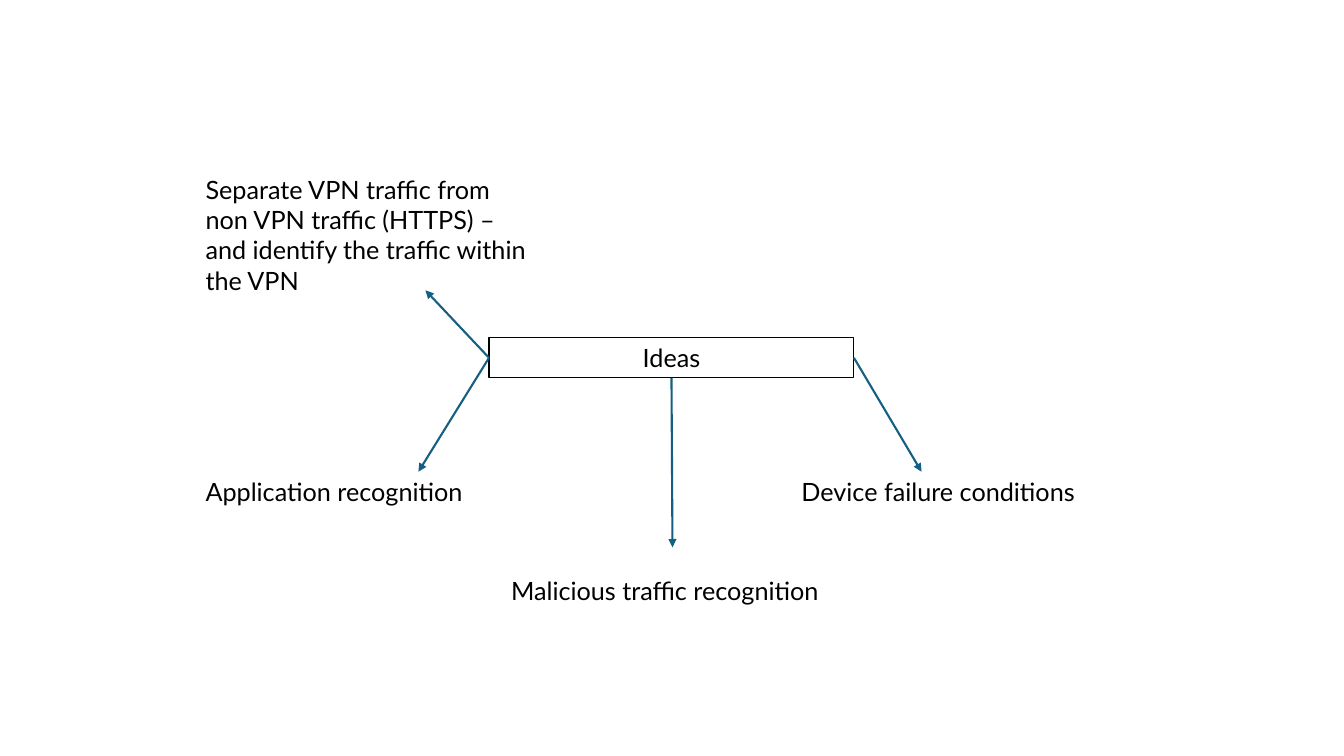
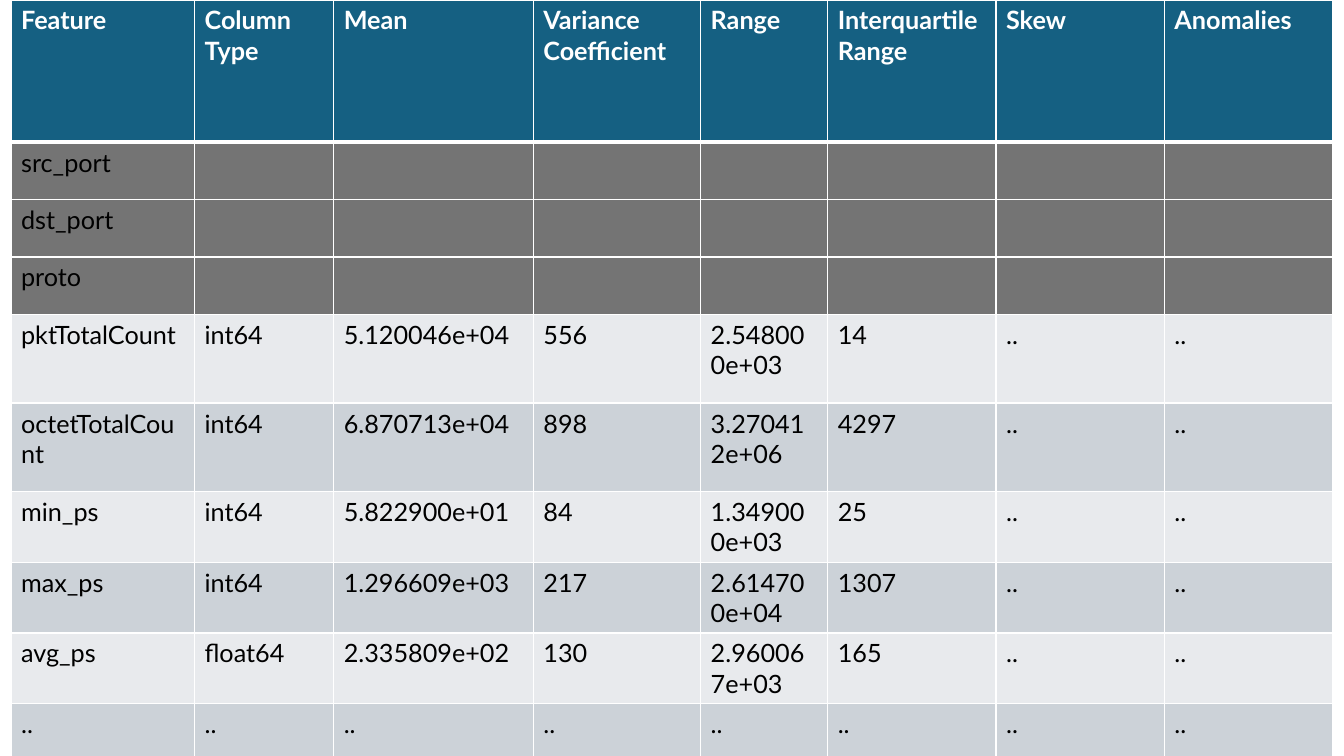
from lxml import etree
from pptx import Presentation
from pptx.dml.color import RGBColor
from pptx.enum.shapes import MSO_CONNECTOR, MSO_SHAPE
from pptx.enum.text import MSO_ANCHOR, PP_ALIGN
from pptx.oxml.ns import qn
from pptx.util import Inches, Pt

RECTANGLE = MSO_SHAPE.RECTANGLE
STRAIGHT = MSO_CONNECTOR.STRAIGHT
LEFT, CENTER = PP_ALIGN.LEFT, PP_ALIGN.CENTER
TOP = MSO_ANCHOR.TOP

# Shared style
FONT = "Lato"
TEXT_SIZE = 18
BLACK, WHITE, BLUE = "000000", "FFFFFF", "156082"
GREY, LIGHT_BAND, DARK_BAND = "747474", "E8EAED", "CCD2D8"

# Connection sites of a rectangle
SITE_LEFT, SITE_BOTTOM, SITE_RIGHT = 1, 2, 3

# Ideas: text, offset from the map's corner, height
IDEA_WIDTH = 3.39
IDEAS = [
    ("Separate VPN traffic from non VPN traffic (HTTPS) – and identify "
     "the traffic within the VPN", 0, 0, 1.31),
    ("Application recognition", 0, 3, 0.4),
    ("Malicious traffic recognition", 3.03, 3.98, 0.4),
    ("Device failure conditions", 5.91, 3, 0.4),
]
# Arrows: site on the centre box, end as an offset from the map's corner
ARROWS = [
    (SITE_LEFT, 2.28, 1.2),
    (SITE_LEFT, 2.21, 3),
    (SITE_BOTTOM, 4.73, 3.75),
    (SITE_RIGHT, 7.2, 3),
]

# Feature table
COLUMN_WIDTHS = [1.82, 1.38, 1.98, 1.66, 1.26, 1.67, 1.67, 1.67]
HEADERS = ["Feature", "Column Type", "Mean", "Variance Coefficient", "Range",
           "Interquartile Range", "Skew", "Anomalies"]
UNUSED_FEATURES = ["src_port", "dst_port", "proto"]
MEASURES = [
    ("pktTotalCount", "int64", "5.120046e+04", "556", "2.548000e+03", "14"),
    ("octetTotalCount", "int64", "6.870713e+04", "898", "3.270412e+06", "4297"),
    ("min_ps", "int64", "5.822900e+01", "84", "1.349000e+03", "25"),
    ("max_ps", "int64", "1.296609e+03", "217", "2.614700e+04", "1307"),
    ("avg_ps", "float64", "2.335809e+02", "130", "2.960067e+03", "165"),
    (),
]
HEADER_HEIGHT, ROW_HEIGHT, TALL_HEIGHT = 1.41, 0.57, 0.88
TALL_FEATURES = ("pktTotalCount", "octetTotalCount")


def color(value):
    return RGBColor.from_string(value)


def write(text_frame, text, text_color=BLACK, bold=False, alignment=LEFT):
    text_frame.word_wrap = True
    paragraph = text_frame.paragraphs[0]
    paragraph.alignment = alignment
    run = paragraph.add_run()
    run.text = text
    run.font.name = FONT
    run.font.size = Pt(TEXT_SIZE)
    run.font.bold = bold
    run.font.color.rgb = color(text_color)


def add_arrow(slide, box, site, end_x, end_y):
    arrow = slide.shapes.add_connector(
        STRAIGHT, 0, 0, Inches(end_x), Inches(end_y))
    arrow.begin_connect(box, site)
    arrow.line.color.rgb = color(BLUE)
    arrow.line.width = Pt(1.5)
    line = arrow.line._get_or_add_ln()
    etree.SubElement(line, qn("a:tailEnd"), type="triangle")
    etree.SubElement(arrow._element.spPr, qn("a:effectLst"))


def add_idea_map(slide, left, top):
    # Centre box
    box = slide.shapes.add_shape(RECTANGLE, Inches(left + 2.91),
                                 Inches(top + 1.67), Inches(3.62), Inches(0.4))
    box.shadow.inherit = False
    box.fill.background()
    box.line.color.rgb = color(BLACK)
    box.line.width = Pt(0.75)
    box.text_frame.vertical_anchor = TOP
    write(box.text_frame, "Ideas", alignment=CENTER)

    # Ideas around it
    for text, x, y, height in IDEAS:
        label = slide.shapes.add_textbox(Inches(left + x), Inches(top + y),
                                         Inches(IDEA_WIDTH), Inches(height))
        write(label.text_frame, text)

    for site, x, y in ARROWS:
        add_arrow(slide, box, site, left + x, top + y)


def set_borders(cell, widths):
    properties = cell._tc.get_or_add_tcPr()
    for side, width in widths.items():
        line = etree.SubElement(properties, qn("a:ln" + side), w=str(Pt(width)))
        fill = etree.SubElement(line, qn("a:solidFill"))
        etree.SubElement(fill, qn("a:srgbClr"), val=WHITE)


def table_rows():
    """Yield the height, fill and texts of each row."""
    yield HEADER_HEIGHT, BLUE, HEADERS
    for name in UNUSED_FEATURES:
        yield ROW_HEIGHT, GREY, [name]
    for index, values in enumerate(MEASURES):
        tall = values and values[0] in TALL_FEATURES
        fill = DARK_BAND if index % 2 else LIGHT_BAND
        missing = len(HEADERS) - len(values)
        yield (TALL_HEIGHT if tall else ROW_HEIGHT, fill,
               [*values, *[".."] * missing])


def add_feature_table(slide, left, top):
    rows = list(table_rows())
    frame = slide.shapes.add_table(
        len(rows), len(HEADERS), Inches(left), Inches(top),
        Inches(sum(COLUMN_WIDTHS)), Inches(sum(row[0] for row in rows)))
    table = frame.table
    for column, width in zip(table.columns, COLUMN_WIDTHS):
        column.width = Inches(width)

    for row_index, (height, fill, texts) in enumerate(rows):
        table.rows[row_index].height = Inches(height)
        is_header = row_index == 0
        borders = {"L": 1, "R": 1, "T": 3 if row_index == 1 else 1,
                   "B": 3 if is_header else 1}
        for column_index in range(len(HEADERS)):
            cell = table.cell(row_index, column_index)
            set_borders(cell, borders)
            cell.fill.solid()
            cell.fill.fore_color.rgb = color(fill)
            if column_index < len(texts):
                write(cell.text_frame, texts[column_index],
                      WHITE if is_header else BLACK, is_header)


def main():
    presentation = Presentation()
    presentation.slide_width = Inches(13.33)
    presentation.slide_height = Inches(7.5)
    blank = presentation.slide_layouts[6]
    add_idea_map(presentation.slides.add_slide(blank), 1.94, 1.68)
    add_feature_table(presentation.slides.add_slide(blank), 0.11, 0)
    presentation.save("out.pptx")


if __name__ == "__main__":
    main()
